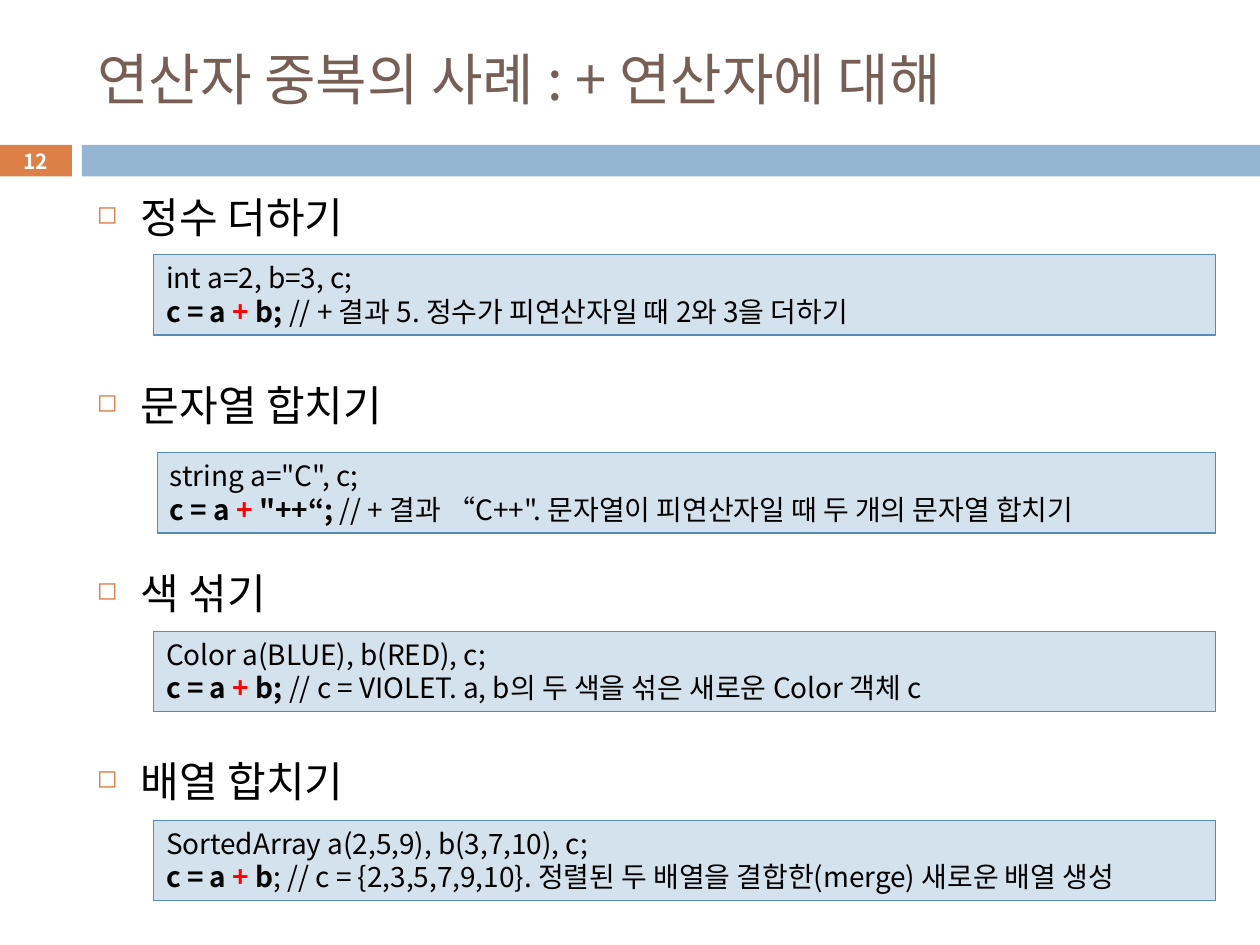
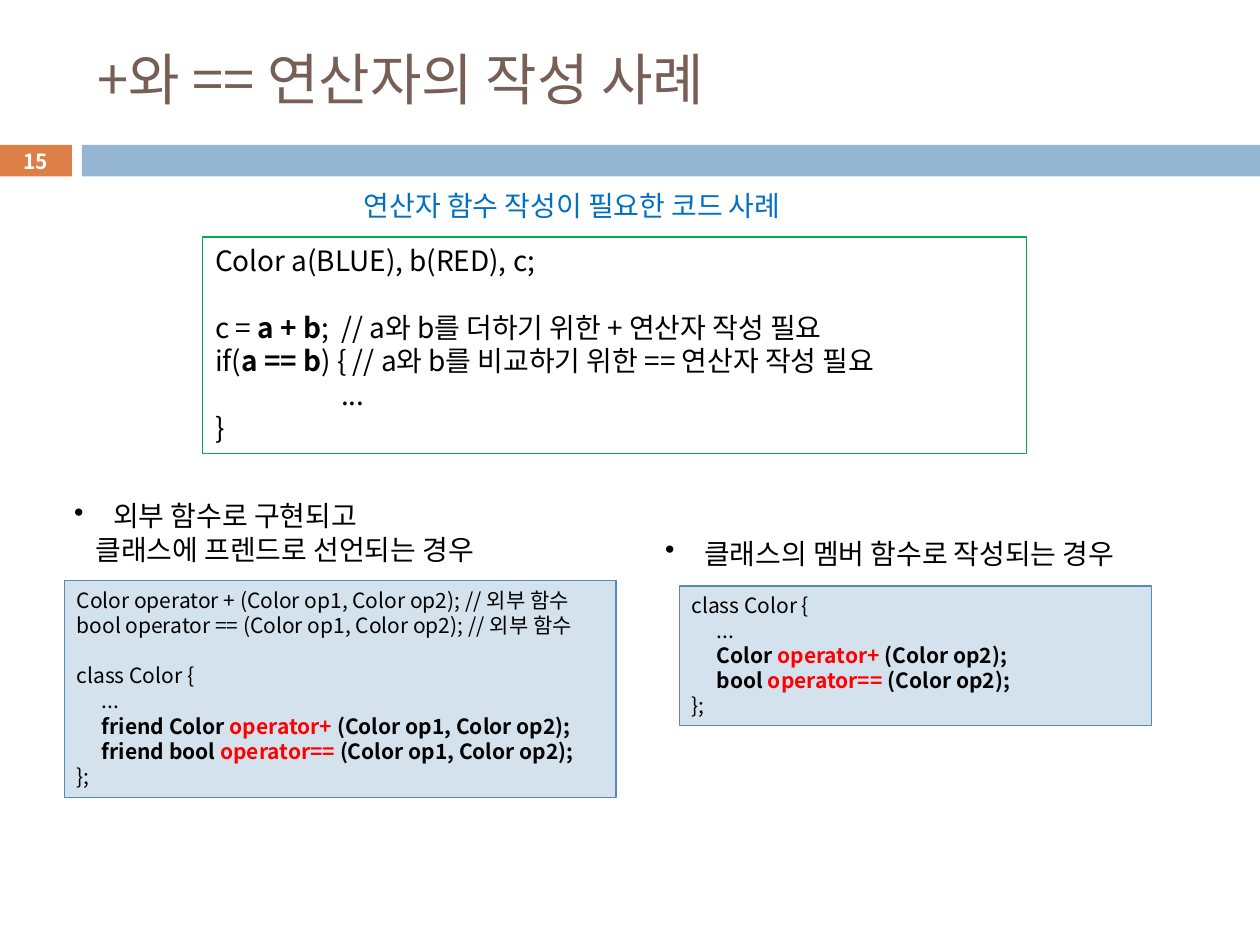
from dataclasses import dataclass
from typing import NamedTuple, Optional

from lxml.etree import SubElement
from pptx import Presentation
from pptx.dml.color import RGBColor as RGB
from pptx.enum.shapes import MSO_SHAPE as Kind
from pptx.enum.text import MSO_ANCHOR as Anchor, PP_ALIGN as Align
from pptx.oxml.ns import qn
from pptx.util import Inches, Pt

FONT = "Noto Sans CJK KR"
BLACK = RGB(0x00, 0x00, 0x00)
WHITE = RGB(0xFF, 0xFF, 0xFF)
RED = RGB(0xFF, 0x00, 0x00)
BROWN = RGB(0x77, 0x5F, 0x55)
ORANGE = RGB(0xDD, 0x80, 0x47)
BAND = RGB(0x94, 0xB6, 0xD2)
PALE = RGB(0xD4, 0xE2, 0xED)
EDGE = RGB(0x55, 0x8B, 0xB8)
GREEN = RGB(0x00, 0xB0, 0x50)
BLUE = RGB(0x00, 0x70, 0xC0)
LEAD = 1.2


class Box(NamedTuple):
    left: float
    top: float
    width: float
    height: float

    def place(self) -> tuple:
        return tuple(Inches(side) for side in self)


class Bit(NamedTuple):
    text: str
    bold: bool = False
    red: bool = False


class Mark(NamedTuple):
    sign: str
    hang: float
    color: Optional[RGB] = None
    scale: int = 100


@dataclass
class Line:
    bits: list
    indent: float = 0
    gap: float = 0
    mark: Optional[Mark] = None


@dataclass
class Code:
    box: Box
    lines: list
    size: float = 16
    fill: Optional[RGB] = PALE
    edge: RGB = EDGE


def plain(text: str, **look) -> Line:
    return Line([Bit(text)], **look)


def bold(text: str) -> Bit:
    return Bit(text, bold=True)


def red(text: str) -> Bit:
    return Bit(text, bold=True, red=True)


def add_mark(para, mark: Mark) -> None:
    props = para._p.get_or_add_pPr()
    props.set("marL", str(Inches(mark.hang)))
    props.set("indent", str(-Inches(mark.hang)))
    nodes = []
    if mark.color is not None:
        tint = SubElement(props, qn("a:buClr"))
        SubElement(tint, qn("a:srgbClr")).set("val", str(mark.color))
        nodes.append(tint)
    size = SubElement(props, qn("a:buSzPct"))
    size.set("val", str(mark.scale * 1000))
    sign = SubElement(props, qn("a:buChar"))
    sign.set("char", mark.sign)
    nodes += [size, sign]
    base = props.find(qn("a:defRPr"))
    for node in nodes:
        base.addprevious(node)


def write(frame, lines: list, size: float, color: RGB = BLACK,
          align: Align = Align.LEFT, anchor: Anchor = Anchor.TOP) -> None:
    frame.word_wrap = True
    frame.vertical_anchor = anchor
    for index, line in enumerate(lines):
        para = frame.paragraphs[0] if index == 0 else frame.add_paragraph()
        para.alignment = align
        para.line_spacing = Pt(size * LEAD)
        para.space_before = Pt(line.gap)
        font = para.font
        font.name = FONT
        font.size = Pt(size)
        font.color.rgb = color
        font.bold = all(bit.bold for bit in line.bits)
        props = para._p.get_or_add_pPr()
        SubElement(props.find(qn("a:defRPr")), qn("a:ea")).set("typeface", FONT)
        if line.indent:
            props.set("marL", str(Inches(line.indent)))
            props.set("indent", "0")
        if line.mark:
            add_mark(para, line.mark)
        for bit in line.bits:
            run = para.add_run()
            run.text = bit.text
            if bit.bold != font.bold:
                run.font.bold = bit.bold
            if bit.red:
                run.font.color.rgb = RED


def add_rect(slide, box: Box, fill: Optional[RGB], edge: Optional[RGB] = None):
    shape = slide.shapes.add_shape(Kind.RECTANGLE, *box.place())
    shape.shadow.inherit = False
    if fill is None:
        shape.fill.background()
    else:
        shape.fill.solid()
        shape.fill.fore_color.rgb = fill
    if edge is None:
        shape.line.fill.background()
    else:
        shape.line.color.rgb = edge
        shape.line.width = Pt(0.75)
    return shape


def add_text(slide, box: Box, lines: list, size: float,
             color: RGB = BLACK) -> None:
    shape = slide.shapes.add_textbox(*box.place())
    write(shape.text_frame, lines, size, color)


def add_code(slide, code: Code) -> None:
    shape = add_rect(slide, code.box, code.fill, code.edge)
    write(shape.text_frame, code.lines, code.size)


def add_slide(deck, title: str, number: int):
    slide = deck.slides.add_slide(deck.slide_layouts[5])
    head = slide.shapes.title
    head.left, head.top, head.width, head.height = Box(0.67, 0.25, 8.92, 0.74).place()
    write(head.text_frame, [plain(title)], 32, BROWN, anchor=Anchor.MIDDLE)
    badge = add_rect(slide, Box(-0.01, 1.15, 0.58, 0.25), ORANGE)
    frame = badge.text_frame
    frame.margin_top = frame.margin_bottom = 0
    write(frame, [Line([bold(str(number))])], 11.9, WHITE, Align.CENTER,
          Anchor.MIDDLE)
    add_rect(slide, Box(0.65, 1.15, 9.35, 0.25), BAND)
    return slide


def add_cases(deck) -> None:
    slide = add_slide(deck, "연산자 중복의 사례 : + 연산자에 대해", 12)
    heads = ["정수 더하기", "문자열 합치기", "색 섞기", "배열 합치기"]
    mark = Mark("◻", 0.35, ORANGE, 60)
    lines = [plain(text, gap=78.6 if index else 0, mark=mark)
             for index, text in enumerate(heads)]
    add_text(slide, Box(0.67, 1.47, 8.92, 5.91), lines, 24)

    cases = [
        (1.22, 2.02, "int a=2, b=3, c;",
         [red("+ "), bold("b; "),
          Bit("// + 결과 5. 정수가 피연산자일 때 2와 3을 더하기")]),
        (1.25, 3.59, 'string a="C", c;',
         [red("+ "), bold('"++“; '),
          Bit('// + 결과 “C++". 문자열이 피연산자일 때 두 개의 문자열 합치기')]),
        (1.22, 5.01, "Color a(BLUE), b(RED), c;",
         [red("+"), bold(" b; "),
          Bit("// c = VIOLET. a, b의 두 색을 섞은 새로운 Color 객체 c")]),
        (1.22, 6.51, "SortedArray a(2,5,9), b(3,7,10), c;",
         [red("+"), bold(" b"),
          Bit("; // c = {2,3,5,7,9,10}. 정렬된 두 배열을 결합한(merge) 새로운 배열 생성")]),
    ]
    for left, top, setup, rest in cases:
        add_code(slide, Code(Box(left, top, 9.65 - left, 0.64),
                             [plain(setup), Line([bold("c = a "), *rest])]))


def class_lines(lead: str, args: str, gap: float = 0) -> list:
    tab = 0.2
    return [
        plain("class Color {", gap=gap),
        plain("...", indent=tab),
        *[Line([bold(f"{lead}{kind} "), red(f"operator{sign} "), bold(f"({args});")],
               indent=tab)
          for kind, sign in (("Color", "+"), ("bool", "=="))],
        plain("};"),
    ]


def add_usage(deck) -> None:
    slide = add_slide(deck, "+와 == 연산자의 작성 사례", 15)
    dot = Mark("•", 0.31)
    pair = "Color op1, Color op2"

    add_text(slide, Box(2.79, 1.45, 3.96, 0.37),
             [plain("연산자 함수 작성이 필요한 코드 사례")], 16, BLUE)
    add_code(slide, Code(Box(1.61, 1.88, 6.54, 1.72), [
        plain("Color a(BLUE), b(RED), c;"),
        Line([Bit("c = "), bold("a + b"),
              Bit(";  // a와 b를 더하기 위한 + 연산자 작성 필요")], gap=16 * LEAD),
        Line([Bit("if("), bold("a == b"),
              Bit(") { // a와 b를 비교하기 위한 == 연산자 작성 필요")]),
        plain("...", indent=1),
        plain("}"),
    ], fill=None, edge=GREEN))

    add_text(slide, Box(0.49, 3.91, 3.82, 0.64),
             [plain("외부 함수로 구현되고", mark=dot),
              plain("클래스에 프렌드로 선언되는 경우", indent=0.17)], 16)
    add_code(slide, Code(Box(0.51, 4.61, 4.38, 1.72), [
        plain(f"Color operator + ({pair}); // 외부 함수"),
        plain(f"bool operator == ({pair}); // 외부 함수"),
        *class_lines("friend ", pair, 12 * LEAD),
    ], size=12))

    add_text(slide, Box(5.18, 4.21, 4.28, 0.37),
             [plain("클래스의 멤버 함수로 작성되는 경우", mark=dot)], 16)
    add_code(slide, Code(Box(5.39, 4.65, 3.75, 1.11),
                         class_lines("", "Color op2"), size=12))


def main() -> None:
    deck = Presentation()
    deck.slide_width = Inches(10)
    deck.slide_height = Inches(7.5)
    add_cases(deck)
    add_usage(deck)
    deck.save("out.pptx")


if __name__ == "__main__":
    main()
